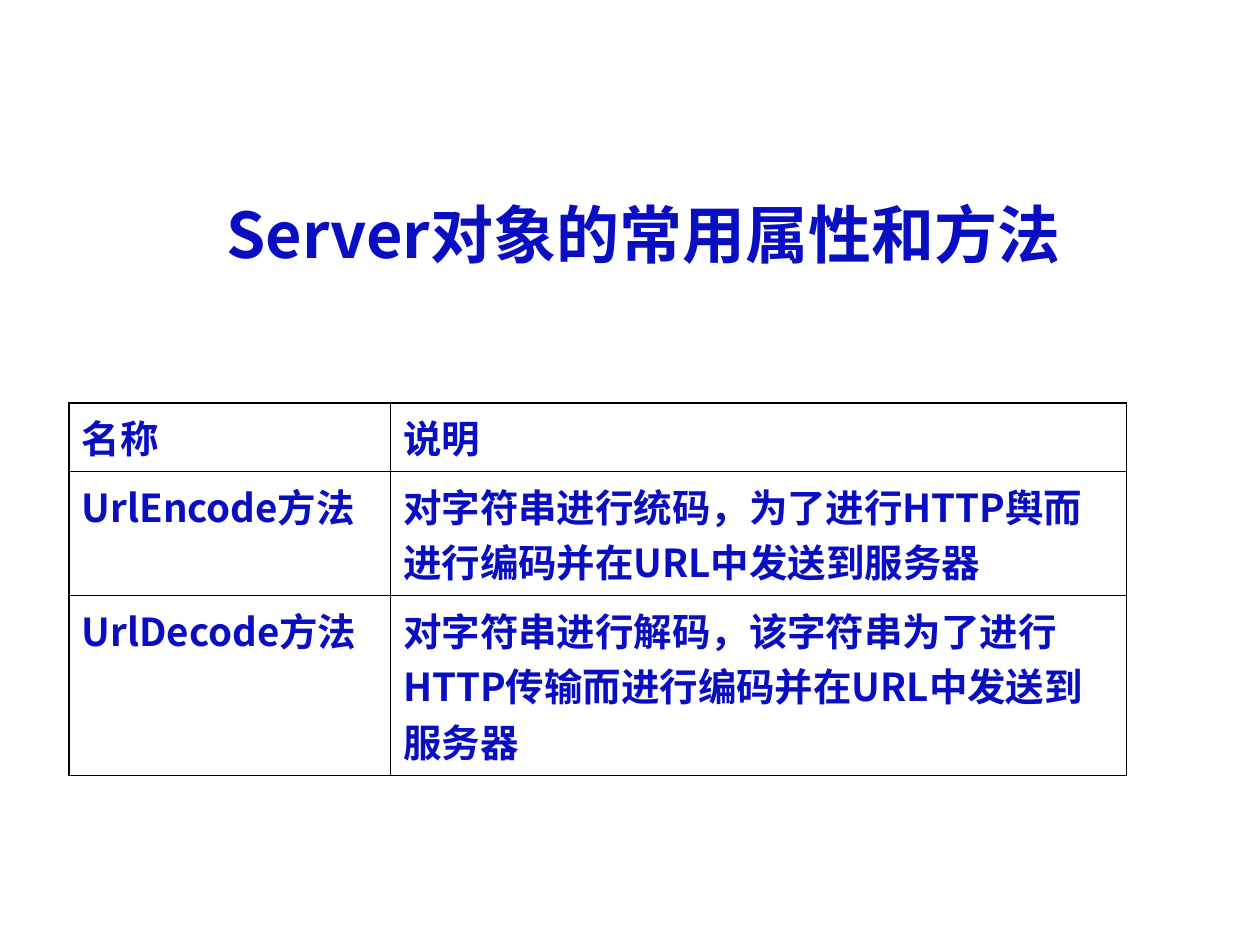
from lxml import etree
from pptx import Presentation
from pptx.dml.color import RGBColor
from pptx.enum.text import MSO_ANCHOR, MSO_AUTO_SIZE, PP_ALIGN
from pptx.oxml.ns import qn
from pptx.util import Inches, Pt

TITLE = "Server对象的常用属性和方法"
ROWS = [
    ("名称", "说明"),
    ("UrlEncode方法", "对字符串进行统码，为了进行HTTP舆而进行编码并在URL中发送到服务器"),
    ("UrlDecode方法", "对字符串进行解码，该字符串为了进行HTTP传输而进行编码并在URL中发送到服务器"),
]
LINES = [1, 2, 3]  # text lines in each row
COLS = [2.55, 5.84]
PAD, LEAD = 0.1, 0.44

FONT = "Noto Sans CJK JP"
BLUE = RGBColor(0x0A, 0x0E, 0xC2)
BLACK = RGBColor(0, 0, 0)
THIN, THICK = Pt(0.45), Pt(1.08)
MIDDLE, TOP = MSO_ANCHOR.MIDDLE, MSO_ANCHOR.TOP
CENTER, LEFT = PP_ALIGN.CENTER, PP_ALIGN.LEFT


def write(frame, text, size, align):
    frame.text = text
    para = frame.paragraphs[0]
    para.alignment = align
    font = para.font
    font.size, font.bold, font.name = Pt(size), True, FONT
    font.color.rgb = BLUE
    latin = para._p.pPr.find(qn("a:defRPr")).find(qn("a:latin"))
    east = etree.Element(qn("a:ea"), typeface=FONT)
    latin.addnext(east)


def border(cell, widths):
    """Draw the left, right, top and bottom edges of a cell."""
    props = cell._tc.get_or_add_tcPr()
    for spot, (side, width) in enumerate(zip("LRTB", widths)):
        line = etree.Element(qn(f"a:ln{side}"), w=str(width))
        fill = etree.SubElement(line, qn("a:solidFill"))
        etree.SubElement(fill, qn("a:srgbClr"), val=str(BLACK))
        props.insert(spot, line)


deck = Presentation()
deck.slide_width, deck.slide_height = Inches(10), Inches(7.5)
slide = deck.slides.add_slide(deck.slide_layouts[5])

title = slide.shapes.title
title.left, title.top = Inches(0.61), Inches(1.62)
title.width, title.height = Inches(8.99), Inches(0.47)
frame = title.text_frame
write(frame, TITLE, 36, CENTER)
frame.auto_size = MSO_AUTO_SIZE.NONE
frame.vertical_anchor = MIDDLE

highs = [PAD + LEAD * count for count in LINES]
table = slide.shapes.add_table(
    len(ROWS), len(COLS), Inches(0.55), Inches(3.2),
    Inches(sum(COLS)), Inches(sum(highs))).table
table.first_row = table.horz_banding = False
for col, width in zip(table.columns, COLS):
    col.width = Inches(width)
for r, (row, high) in enumerate(zip(ROWS, highs)):
    table.rows[r].height = Inches(high)
    for c, text in enumerate(row):
        cell = table.cell(r, c)
        write(cell.text_frame, text, 22, LEFT)
        cell.vertical_anchor = TOP
        cell.fill.background()
        border(cell, (
            THICK if c == 0 else THIN,
            THICK if c == len(COLS) - 1 else THIN,
            THICK if r == 0 else THIN,
            THIN))

deck.save("out.pptx")
